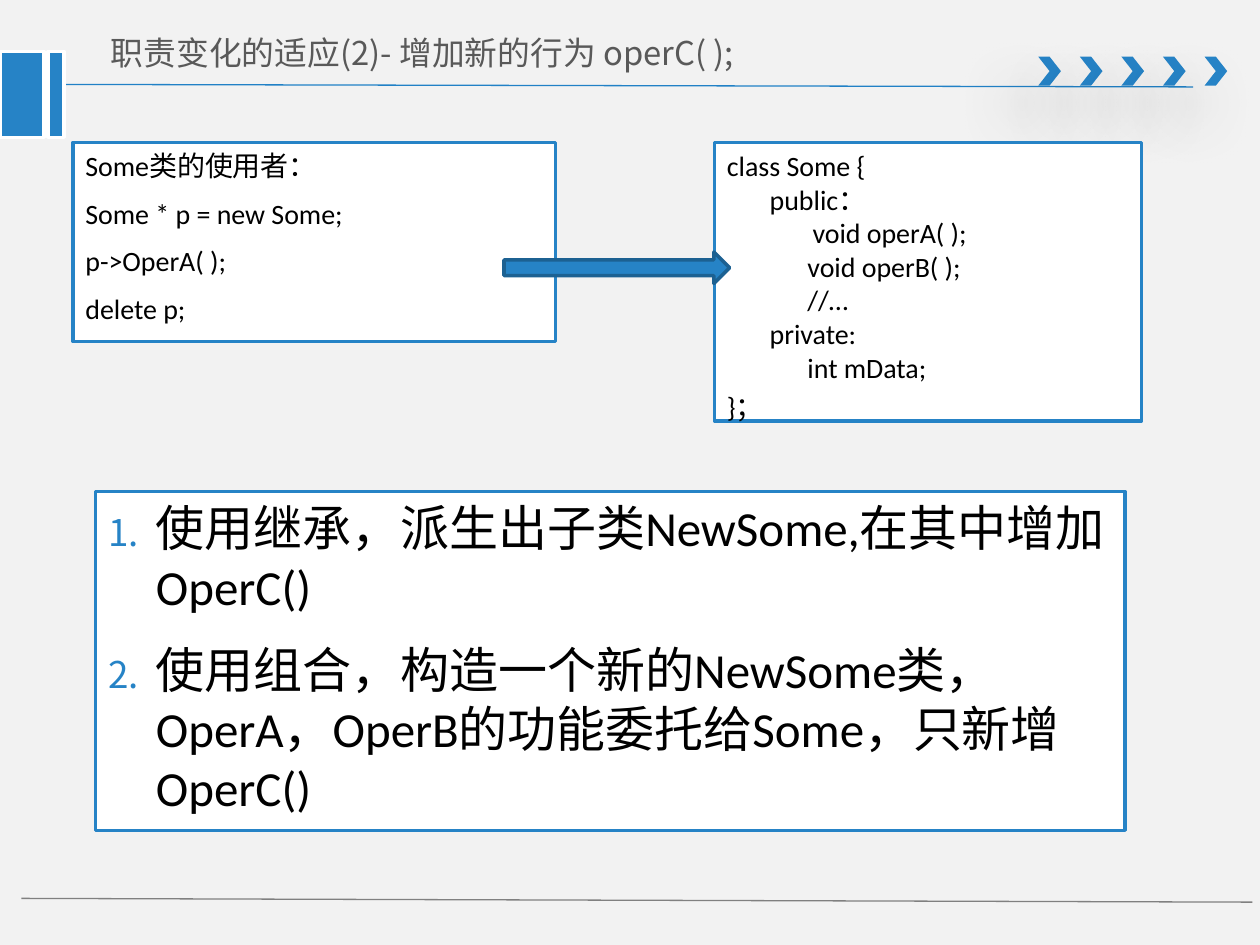
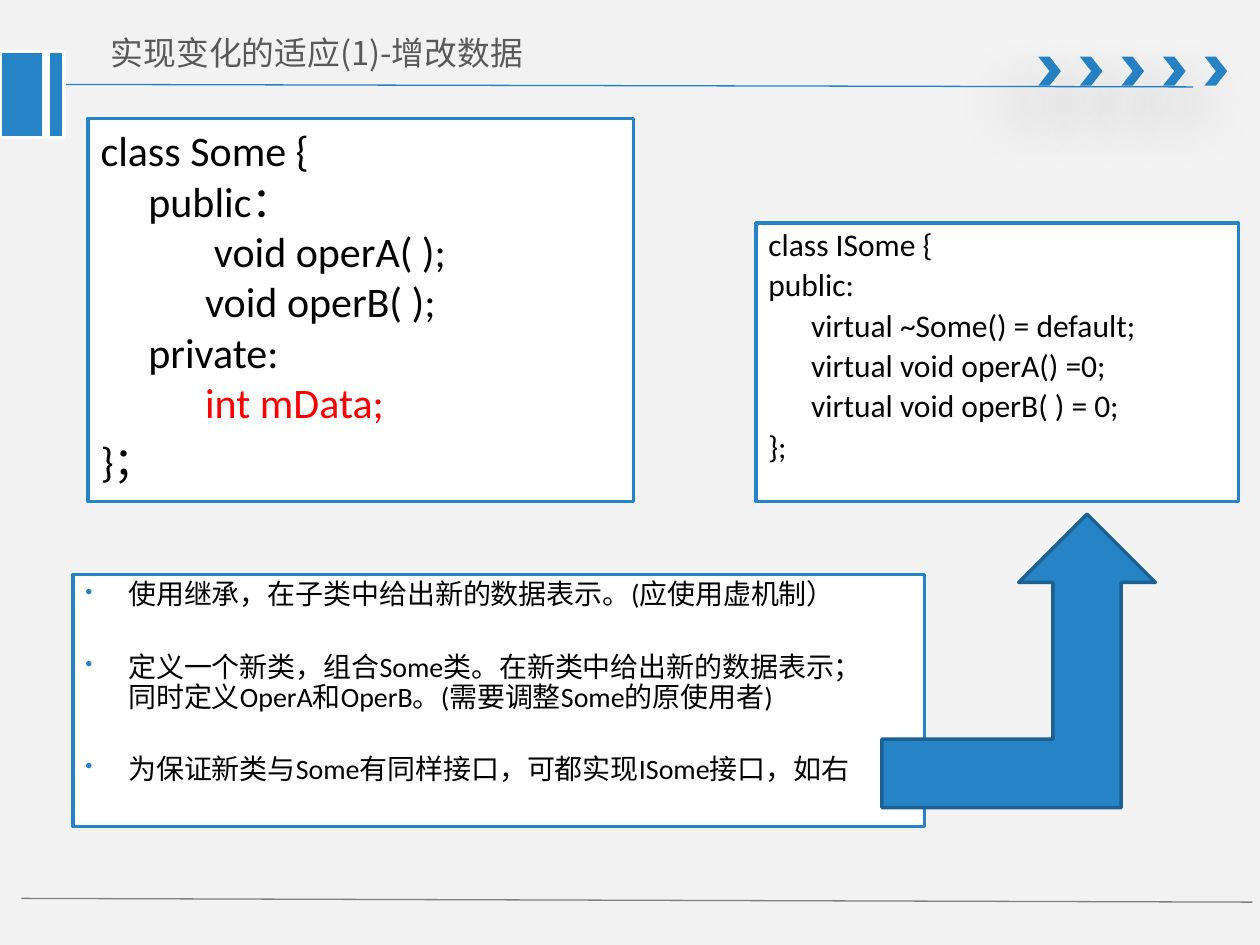
from dataclasses import dataclass

from lxml.etree import SubElement
from pptx import Presentation
from pptx.dml.color import RGBColor
from pptx.enum.shapes import MSO_CONNECTOR, MSO_SHAPE as SHAPE
from pptx.enum.text import MSO_ANCHOR as ANCHOR
from pptx.oxml.ns import qn
from pptx.util import Inches, Pt

COLORS = {
    "background": "F2F2F2",
    "accent": "2683C6",
    "accent_dark": "1C6192",
    "rule": "2181C6",
    "footer": "808080",
    "title": "595959",
    "white": "FFFFFF",
    "black": "000000",
    "highlight": "FF0000",
}
BODY_FONT = "Calibri"
CJK_FONT = "Noto Sans CJK SC"


def rgb(name):
    return RGBColor.from_string(COLORS[name])


@dataclass
class Para:
    """One paragraph: indent and hang in inches, before in points."""
    text: str
    indent: float = 0
    hang: float = 0
    before: float = 0
    spacing: float = 1.0
    bullet: str = ""
    color: str = "black"


class Deck:
    def __init__(self):
        self.prs = Presentation()
        self.prs.slide_width = Inches(10)
        self.prs.slide_height = Inches(7.5)
        self.s = None

    def new_slide(self, title, title_width):
        """Start a slide with the shared rules, chevrons, side bars and title."""
        self.s = self.prs.slides.add_slide(self.prs.slide_layouts[6])
        fill = self.s.background.fill
        fill.solid()
        fill.fore_color.rgb = rgb("background")
        self.line((0.4, 0.67), (9.47, 0.69), "rule")
        for i in range(5):
            chevron = self.shape(SHAPE.CHEVRON, (8.24 + 0.33 * i, 0.45, 0.18, 0.23))
            self.soft_shadow(chevron)
        self.line((0.17, 7.13), (9.94, 7.16), "footer")
        for left, width in ((0, 0.35), (0.38, 0.13)):
            self.shape(SHAPE.RECTANGLE, (left, 0.41, width, 0.68), line="white")
        self.title(title, title_width)

    def line(self, start, end, color):
        points = [Inches(v) for v in (*start, *end)]
        c = self.s.shapes.add_connector(MSO_CONNECTOR.STRAIGHT, *points)
        c.line.color.rgb = rgb(color)
        c.line.width = Pt(0.75)
        SubElement(c._element.spPr, qn("a:effectLst"))

    def shape(self, kind, box, fill="accent", line=None):
        sp = self.s.shapes.add_shape(kind, *[Inches(v) for v in box])
        sp.fill.solid()
        sp.fill.fore_color.rgb = rgb(fill)
        if line:
            sp.line.color.rgb = rgb(line)
            sp.line.width = Pt(2)
        else:
            sp.line.fill.background()
        sp.shadow.inherit = False
        return sp

    def soft_shadow(self, sp):
        effects = sp._element.spPr.find(qn("a:effectLst"))
        shadow = SubElement(effects, qn("a:outerShdw"), blurRad=str(Pt(36)),
                            dist=str(Pt(24)), dir=str(130 * 60000))
        color = SubElement(shadow, qn("a:srgbClr"), val=COLORS["black"])
        SubElement(color, qn("a:alpha"), val="38000")

    def format_frame(self, tf, **values):
        for name, value in values.items():
            setattr(tf, name, value)

    def format_runs(self, p, size, font, color):
        for r in p.runs:
            for name, value in {"size": Pt(size), "name": font}.items():
                setattr(r.font, name, value)
            r.font.color.rgb = rgb(color)
            SubElement(r._r.get_or_add_rPr(), qn("a:ea"), typeface=CJK_FONT)

    def title(self, text, width):
        box = [Inches(v) for v in (0.74, 0.14, width, 0.55)]
        tf = self.s.shapes.add_textbox(*box).text_frame
        self.format_frame(tf, word_wrap=True, vertical_anchor=ANCHOR.MIDDLE,
                          margin_left=Inches(0.14), margin_right=Inches(0.14),
                          margin_top=Inches(0.07), margin_bottom=Inches(0.07))
        p = tf.paragraphs[0]
        p.text = text
        self.format_runs(p, 18.7, CJK_FONT, "title")

    def panel(self, box, size, paras):
        """White framed box holding left-aligned paragraphs."""
        tf = self.shape(SHAPE.RECTANGLE, box, "white", "accent").text_frame
        self.format_frame(tf, word_wrap=True, vertical_anchor=ANCHOR.TOP)
        for i, para in enumerate(paras):
            p = tf.add_paragraph() if i else tf.paragraphs[0]
            p.text = para.text
            p.line_spacing = para.spacing
            p.space_before = Pt(para.before)
            pPr = p._p.get_or_add_pPr()
            pPr.set("algn", "l")
            pPr.set("marL", str(Inches(para.indent)))
            pPr.set("indent", str(-Inches(para.hang)))
            if para.bullet:
                self.bullet(pPr, para.bullet)
            self.format_runs(p, size, BODY_FONT, para.color)

    def bullet(self, pPr, mark):
        color = SubElement(pPr, qn("a:buClr"))
        SubElement(color, qn("a:srgbClr"), val=COLORS["accent"])
        SubElement(pPr, qn("a:buSzPct"), val="75000")
        if mark == "1.":
            SubElement(pPr, qn("a:buAutoNum"), type="arabicPeriod")
        else:
            SubElement(pPr, qn("a:buChar"), char=mark)

    def arrow(self, kind, box):
        self.shape(kind, box, line="accent_dark")


def add_behaviour_slide(deck):
    deck.new_slide("职责变化的适应(2)- 增加新的行为 operC( );", 6.59)
    deck.panel((5.67, 1.13, 3.39, 2.21), 16, [
        Para("class Some {", before=3.2),
        Para("public：", 0.34),
        Para("void operA( );", 0.68),
        Para("void operB( );", 0.64),
        Para("//…", 0.64),
        Para("private:", 0.34),
        Para("int mData;", 0.64),
        Para("}；", before=3.2),
    ])
    usage = ("Some类的使用者：", "Some * p = new Some;", "p->OperA( );", "delete p;")
    deck.panel((0.58, 1.13, 3.83, 1.58), 16, [Para(t, before=8) for t in usage])
    deck.arrow(SHAPE.RIGHT_ARROW, (4, 2, 1.79, 0.25))
    options = (
        "使用继承，派生出子类NewSome,在其中增加OperC()",
        "使用组合，构造一个新的NewSome类，OperA，OperB的功能委托给Some，只新增OperC()",
    )
    deck.panel((0.76, 3.9, 8.17, 2.69), 28,
               [Para(t, 0.38, 0.38, before=14, bullet="1.") for t in options])


def add_data_slide(deck):
    deck.new_slide("实现变化的适应(1)-增改数据", 7.18)
    interface = (
        ("class ISome {", 0),
        ("public:", 0),
        ("virtual ~Some() = default;", 0.34),
        ("virtual void operA() =0;", 0.34),
        ("virtual void operB( ) = 0;", 0.34),
        ("};", 0),
    )
    deck.panel((6, 1.77, 3.83, 2.21), 18,
               [Para(t, x, before=3.6, spacing=0.9) for t, x in interface])
    options = (
        ("使用继承，在子类中给出新的数据表示。(应使用虚机制）", 3.2),
        ("定义一个新类，组合Some类。在新类中给出新的数据表示；\v"
         "同时定义OperA和OperB。(需要调整Some的原使用者)", 24),
        ("为保证新类与Some有同样接口，可都实现ISome接口，如右", 24),
    )
    deck.panel((0.58, 4.56, 6.76, 2), 16,
               [Para(t, 0.34, 0.34, gap, 0.9, "•") for t, gap in options])
    deck.panel((0.7, 0.94, 4.33, 3.04), 24, [
        Para("class Some {", before=4.8),
        Para("public：", 0.38),
        Para("void operA( );", 0.9),
        Para("void operB( );", 0.83),
        Para("private:", 0.38),
        Para("int mData;", 0.83, color="highlight"),
        Para("}；", before=4.8),
    ])
    deck.arrow(SHAPE.BENT_UP_ARROW, (7, 4.08, 2.17, 2.33))


def main():
    deck = Deck()
    add_behaviour_slide(deck)
    add_data_slide(deck)
    deck.prs.save("out.pptx")


if __name__ == "__main__":
    main()
